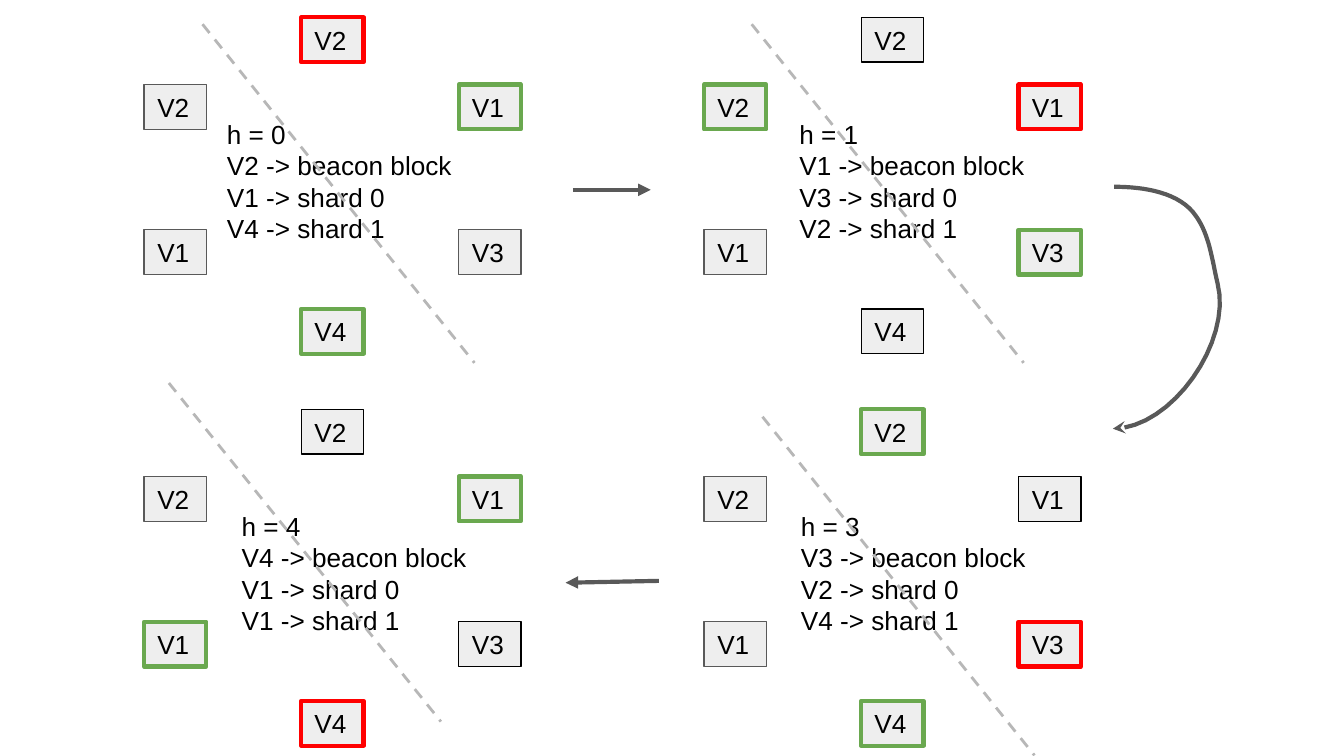
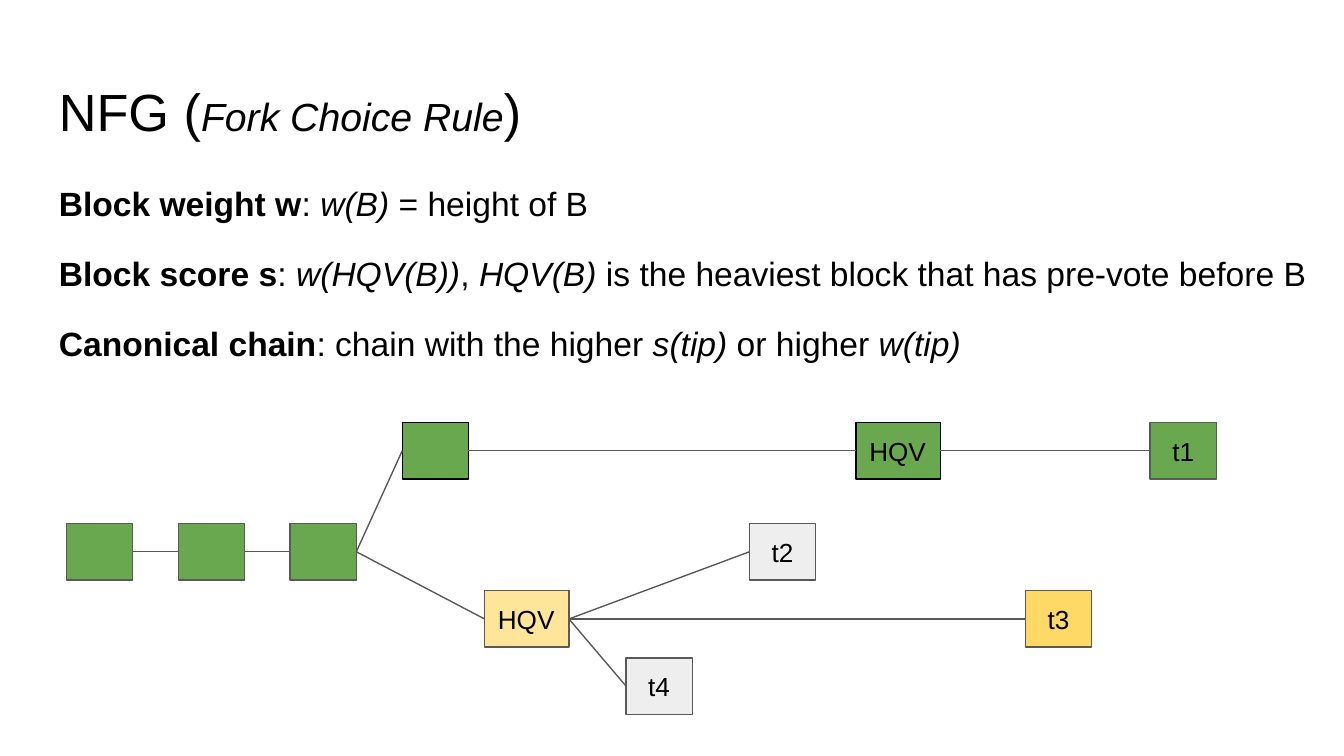
from lxml.etree import SubElement
from pptx import Presentation
from pptx.dml.color import RGBColor
from pptx.enum.dml import MSO_LINE
from pptx.enum.shapes import MSO_CONNECTOR, MSO_SHAPE
from pptx.enum.text import MSO_ANCHOR, PP_ALIGN
from pptx.oxml.ns import qn
from pptx.util import Pt

COLORS = {
    "text": "000000", "black": "000000", "dark": "595959", "dash": "B7B7B7",
    "light": "EEEEEE", "red": "FF0000", "green": "6AA84F",
    "cream": "FFE599", "gold": "FFD966",
}
FONT = "Arial"
INSET = 7.2
THIN, THICK = 0.75, 2.25

# Slide 1: validators around a ring, as (name, x, y) from the ring's corner
VALIDATORS = [
    ("V2", 84.2, 0), ("V1", 168.5, 36), ("V3", 168.5, 113.8),
    ("V4", 84.2, 156.2), ("V1", 0, 113.8), ("V2", 0, 36),
]
VALIDATOR_SIZE = (33.4, 24)
RING_LEFT, RING_TOP = 77.2, 9.3
RING_STEP = (300, 210)
NOTE_DROP, NOTE_SIZE = 46.8, (136, 85.7)
DIVIDER_SPAN = (145.7, 181.4)
RINGS = [
    {"cell": (0, 0), "borders": "red green dark green dark dark",
     "note_left": 114.5, "divider": (108.5, 13),
     "note": ["h = 0", "V2 -> beacon block", "V1 -> shard 0", "V4 -> shard 1"]},
    {"cell": (1, 0), "borders": "black red green black dark green",
     "note_left": 421.2, "divider": (402.7, 13),
     "note": ["h = 1", "V1 -> beacon block", "V3 -> shard 0", "V2 -> shard 1"]},
    {"cell": (1, 1), "borders": "green black red green dark dark",
     "note_left": 422, "divider": (408.5, 223.3),
     "note": ["h = 3", "V3 -> beacon block", "V2 -> shard 0", "V4 -> shard 1"]},
    {"cell": (0, 1), "borders": "black green black red green dark",
     "note_left": 122.4, "divider": (90.5, 205.2),
     "note": ["h = 4", "V4 -> beacon block", "V1 -> shard 0", "V1 -> shard 1"]},
]
STEP_ARROWS = [((306.9, 101.7), (348.6, 101.7)), ((353, 311.2), (303, 312.2))]
TURN_START = (596.9, 100.1)
TURN_CURVES = [
    ((612.7, 100.1), (632.2, 103), (640.8, 115.9)),
    ((648, 126), (649.4, 139.7), (652.3, 151.9)),
    ((660.2, 182.9), (627.8, 229.7), (596.2, 229.7)),
]

# Slide 2: each paragraph is a list of (text, style)
TITLE = [[("NFG (", {}), ("Fork Choice Rule", {"size": 21, "italic": True}), (")", {})]]
BOLD, ITALIC = {"bold": True}, {"italic": True}
RULES = [
    [("Block weight w", BOLD), (": ", {}), ("w(B)", ITALIC), (" = height of B", {})],
    [("Block score s", BOLD), (": ", {}), ("w(HQV(B))", ITALIC), (", ", {}),
     ("HQV(B)", ITALIC), (" is the heaviest block that has pre-vote before B", {})],
    [("Canonical chain", BOLD), (": chain with the higher ", {}), ("s(tip)", ITALIC),
     (" or higher ", {}), ("w(tip)", ITALIC)],
]
ROW_TOPS = {"upper": 226.4, "trunk": 280.5, "lower": 316.5, "bottom": 352.5}
BLOCK_HEIGHT, BLOCK_WIDTH, HQV_WIDTH = 30.2, 35.5, 45.2
# key: (label, left, row, fill, border)
BLOCKS = {
    "root": ("", 35.5, "trunk", "green", "dark"),
    "second": ("", 95.5, "trunk", "green", "dark"),
    "fork": ("", 155.4, "trunk", "green", "dark"),
    "upper": ("", 215.5, "upper", "green", "black"),
    "lower HQV": ("HQV", 259.6, "lower", "cream", "dark"),
    "t4": ("t4", 335.4, "bottom", "light", "dark"),
    "t2": ("t2", 401.5, "trunk", "light", "dark"),
    "upper HQV": ("HQV", 458.6, "upper", "green", "black"),
    "t3": ("t3", 549.4, "lower", "gold", "dark"),
    "t1": ("t1", 616.2, "upper", "green", "dark"),
}
LINKS = [
    ("root", "second"), ("second", "fork"), ("fork", "upper"), ("fork", "lower HQV"),
    ("lower HQV", "t4"), ("lower HQV", "t2"), ("lower HQV", "t3"),
    ("upper", "upper HQV"), ("upper HQV", "t1"),
]
RIGHT_SITE, LEFT_SITE = 3, 1


def color(name):
    return RGBColor.from_string(COLORS[name])


def write(shape, paragraphs, size=14, align=PP_ALIGN.LEFT, anchor=MSO_ANCHOR.TOP, gap=0):
    """Fill a shape with paragraphs, each a string or a list of (text, style)."""
    frame = shape.text_frame
    frame.word_wrap = True
    frame.vertical_anchor = anchor
    frame.margin_left = frame.margin_right = Pt(INSET)
    frame.margin_top = frame.margin_bottom = Pt(INSET)
    for index, spans in enumerate(paragraphs):
        para = frame.paragraphs[0] if index == 0 else frame.add_paragraph()
        para.alignment = align
        if index:
            para.space_before = Pt(gap)
        for text, style in [(spans, {})] if isinstance(spans, str) else spans:
            span = para.add_run()
            span.text = text
            font = span.font
            font.name = FONT
            font.size = Pt(style.get("size", size))
            font.bold = style.get("bold", False)
            font.italic = style.get("italic", False)
            font.color.rgb = color("text")


def add_text(page, left, top, width, height, paragraphs, **style):
    box = page.shapes.add_textbox(Pt(left), Pt(top), Pt(width), Pt(height))
    write(box, paragraphs, **style)


def add_box(page, left, top, width, height, label, fill, border, weight=THIN,
            align=PP_ALIGN.LEFT):
    box = page.shapes.add_shape(MSO_SHAPE.RECTANGLE, Pt(left), Pt(top), Pt(width), Pt(height))
    box.shadow.inherit = False
    box.fill.solid()
    box.fill.fore_color.rgb = color(fill)
    box.line.color.rgb = color(border)
    box.line.width = Pt(weight)
    if label:
        write(box, [label], align=align, anchor=MSO_ANCHOR.MIDDLE)
    return box


def style_line(shape, name, weight, dash=None, head=None):
    shape.line.color.rgb = color(name)
    shape.line.width = Pt(weight)
    if dash:
        shape.line.dash_style = dash
    if head:
        SubElement(shape.line._get_or_add_ln(), qn("a:tailEnd"), type=head)


def add_line(page, start, end, name, weight, **style):
    line = page.shapes.add_connector(MSO_CONNECTOR.STRAIGHT, *map(Pt, (*start, *end)))
    style_line(line, name, weight, **style)
    SubElement(line._element.spPr, qn("a:effectLst"))
    return line


def curve_points(start, curves, steps=16):
    """Points along a chain of cubic Bezier curves."""
    points = []
    for first, second, end in curves:
        for step in range(1, steps + 1):
            t = step / steps
            u = 1 - t
            points.append(tuple(
                u**3 * a + 3 * u * u * t * b + 3 * u * t * t * c + t**3 * d
                for a, b, c, d in zip(start, first, second, end)))
        start = end
    return points


def add_turn_arrow(page):
    builder = page.shapes.build_freeform(*map(Pt, TURN_START))
    points = curve_points(TURN_START, TURN_CURVES)
    builder.add_line_segments([(Pt(x), Pt(y)) for x, y in points], close=False)
    arrow = builder.convert_to_shape()
    arrow.shadow.inherit = False
    arrow.fill.background()
    style_line(arrow, "dark", THICK, head="stealth")


def add_ring(page, ring):
    column, row = ring["cell"]
    left = RING_LEFT + column * RING_STEP[0]
    top = RING_TOP + row * RING_STEP[1]
    for (name, x, y), border in zip(VALIDATORS, ring["borders"].split()):
        weight = THICK if border in ("red", "green") else THIN
        add_box(page, left + x, top + y, *VALIDATOR_SIZE, name, "light", border, weight)
    add_text(page, ring["note_left"], top + NOTE_DROP, *NOTE_SIZE, ring["note"])


def build_rings(page):
    for ring in RINGS:
        add_ring(page, ring)
    for start, end in STEP_ARROWS:
        add_line(page, start, end, "dark", THICK, head="triangle")
    add_turn_arrow(page)
    for ring in RINGS:
        x, y = ring["divider"]
        end = (x + DIVIDER_SPAN[0], y + DIVIDER_SPAN[1])
        add_line(page, (x, y), end, "dash", 1.5, dash=MSO_LINE.DASH)


def build_fork_choice(page):
    add_text(page, 24.5, 35.3, 671, 45.4, TITLE, size=28)
    add_text(page, 24.5, 90.7, 695.5, 123.1, RULES, size=18, gap=16)
    boxes = {}
    for key, (label, left, row, fill, border) in BLOCKS.items():
        is_hqv = label == "HQV"
        boxes[key] = add_box(
            page, left, ROW_TOPS[row], HQV_WIDTH if is_hqv else BLOCK_WIDTH, BLOCK_HEIGHT,
            label, fill, border, align=PP_ALIGN.LEFT if is_hqv else PP_ALIGN.CENTER)
    for parent, child in LINKS:
        link = add_line(page, (0, 0), (0, 0), "dark", THIN)
        link.begin_connect(boxes[parent], RIGHT_SITE)
        link.end_connect(boxes[child], LEFT_SITE)


def main():
    deck = Presentation()
    deck.slide_width, deck.slide_height = Pt(720), Pt(405)
    for build in (build_rings, build_fork_choice):
        build(deck.slides.add_slide(deck.slide_layouts[6]))
    deck.save("out.pptx")


if __name__ == "__main__":
    main()
